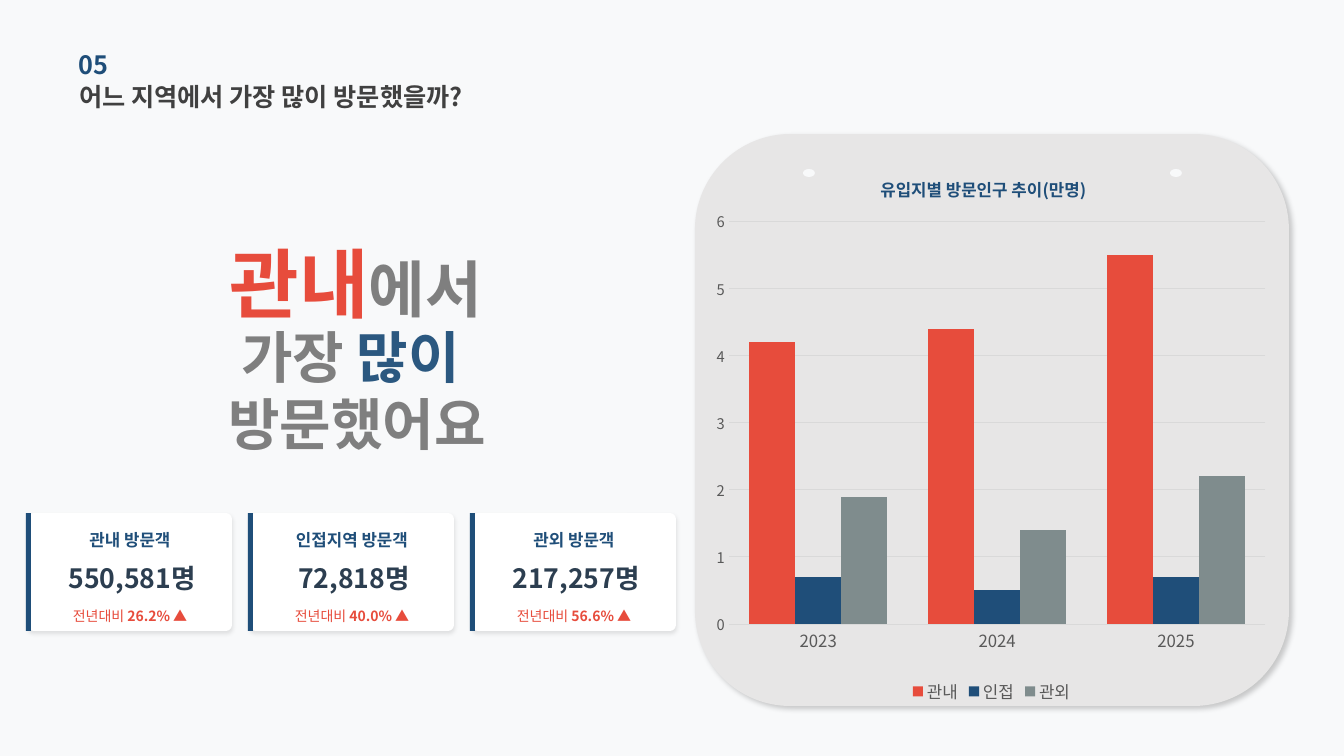
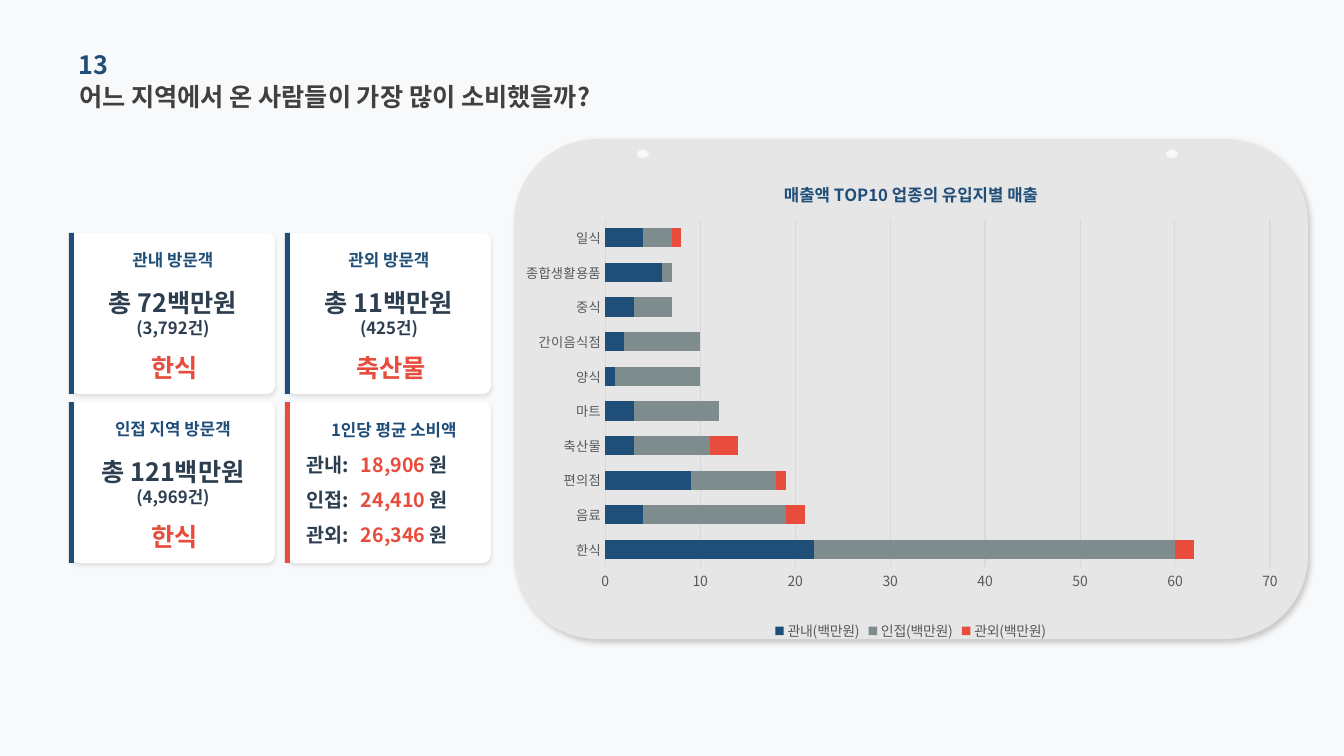
"""Two slides on visitor origin and spending, each with stat cards and a chart panel."""
from lxml import etree
from pptx import Presentation, util as u
from pptx.chart.data import CategoryChartData
from pptx.dml.color import RGBColor
from pptx.enum import chart as ch, shapes, text
from pptx.oxml import parse_xml
from pptx.oxml.ns import nsdecls, qn

PX = 12192000 / 1344
FACE = "Noto Sans CJK KR"
PALE = RGBColor(0xF8, 0xF9, 0xFA)
PANEL = RGBColor(0xE7, 0xE6, 0xE6)
WHITE = RGBColor(0xFF, 0xFF, 0xFF)
NAVY = RGBColor(0x1F, 0x4E, 0x79)
BLUE = RGBColor(0x2B, 0x58, 0x80)
RED = RGBColor(0xE7, 0x4C, 0x3C)
STEEL = RGBColor(0x7F, 0x8C, 0x8D)
SLATE = RGBColor(0x2C, 0x3E, 0x50)
DARK = RGBColor(0x40, 0x40, 0x40)
GREY = RGBColor(0x7F, 0x7F, 0x7F)
LABEL = RGBColor(0x59, 0x59, 0x59)
GRID = RGBColor(0xD9, 0xD9, 0xD9)
RECT = shapes.MSO_SHAPE.RECTANGLE
ROUND = shapes.MSO_SHAPE.ROUNDED_RECTANGLE
OVAL = shapes.MSO_SHAPE.OVAL
MID = text.PP_ALIGN.CENTER
LEFT = text.PP_ALIGN.LEFT


def say(page, box, *lines, size=12, ink=NAVY, bold=True, align=MID):
    """Write lines; each is a string or a list of (text, overrides) runs."""
    frame = page.shapes.add_textbox(*[round(n * PX) for n in box]).text_frame
    frame.word_wrap = True
    frame.vertical_anchor = text.MSO_ANCHOR.MIDDLE
    frame.margin_left = frame.margin_right = frame.margin_top = frame.margin_bottom = 0
    for i, line in enumerate(lines):
        para = frame.add_paragraph() if i else frame.paragraphs[0]
        para.alignment = align
        for words, own in [(line, {})] if isinstance(line, str) else line:
            run = para.add_run()
            run.text = words
            run.font.size = u.Pt(own.get("size", size))
            run.font.bold = own.get("bold", bold)
            run.font.color.rgb = own.get("ink", ink)
            run.font.name = FACE
            etree.SubElement(run._r.get_or_add_rPr(), qn("a:ea"), typeface=FACE)


def block(page, kind, box, fill, shade=None, curve=None):
    """Draw a filled shape; shade is (alpha %, blur pt, distance pt, angle)."""
    shape = page.shapes.add_shape(kind, *[round(n * PX) for n in box])
    shape.fill.solid()
    shape.fill.fore_color.rgb = fill
    shape.line.fill.background()
    shape.shadow.inherit = False
    if curve:
        shape.adjustments[0] = curve
    if shade:
        alpha, blur, dist, angle = shade
        shape._element.spPr.find(qn("a:effectLst")).append(parse_xml(
            f'<a:outerShdw {nsdecls("a")} blurRad="{blur * 12700}" dist="{dist * 12700}" '
            f'dir="{angle * 60000}" algn="ctr" rotWithShape="0"><a:srgbClr val="000000">'
            f'<a:alpha val="{alpha * 1000}"/></a:srgbClr></a:outerShdw>'))


deck = Presentation()
deck.slide_width, deck.slide_height = round(1344 * PX), round(756 * PX)
deck.slide_master.background.fill.solid()
deck.slide_master.background.fill.fore_color.rgb = PALE

specs = [
    dict(no="05", head="어느 지역에서 가장 많이 방문했을까?",
         panel=(695, 134, 594, 572), pins=[(803, 169), (1170, 169)],
         box=(706, 149, 571, 559), kind=ch.XL_CHART_TYPE.COLUMN_CLUSTERED,
         title="유입지별 방문인구 추이(만명)", spot=(0.3, 0.04),
         plot=(0.04, 0.13, 0.94, 0.72), gap=90, lap=0, top=6, step=1,
         sizes=(12, 10.5, 12), cats=["2023", "2024", "2025"],
         rows=[("관내", [4.2, 4.4, 5.5], RED), ("인접", [0.7, 0.5, 0.7], NAVY),
               ("관외", [1.9, 1.4, 2.2], STEEL)]),
    dict(no="13", head="어느 지역에서 온 사람들이 가장 많이 소비했을까?",
         panel=(514, 139, 794, 500), pins=[(637, 150), (1166, 150)],
         box=(526, 157, 767, 488), kind=ch.XL_CHART_TYPE.BAR_STACKED,
         title="매출액 TOP10 업종의 유입지별 매출", spot=(0.33, 0.04),
         plot=(0.1, 0.13, 0.87, 0.71), gap=80, lap=100, top=70, step=10,
         sizes=(9.5, 10, 10),
         cats=["한식", "음료", "편의점", "축산물", "마트", "양식", "간이음식점",
               "중식", "종합생활용품", "일식"],
         rows=[("관내(백만원)", [22, 4, 9, 3, 3, 1, 2, 3, 6, 4], NAVY),
               ("인접(백만원)", [38, 15, 9, 8, 9, 9, 8, 4, 1, 3], STEEL),
               ("관외(백만원)", [2, 2, 1, 3, 0, 0, 0, 0, 0, 1], RED)]),
]

pages = []
for spec in specs:
    page = deck.slides.add_slide(deck.slide_layouts[6])
    pages.append(page)
    block(page, ROUND, spec["panel"], PANEL, shade=(20, 4, 3, 45))
    say(page, (79, 76, 540, 41), spec["head"], size=18, ink=DARK, align=LEFT)
    say(page, (79, 44, 456, 41), spec["no"], size=18, align=LEFT)
    for x, y in spec["pins"]:
        block(page, OVAL, (x, y, 12, 8), PALE)

    data = CategoryChartData()
    data.categories = spec["cats"]
    for name, vals, ink in spec["rows"]:
        data.add_series(name, vals)
    chart = page.shapes.add_chart(
        spec["kind"], *[round(n * PX) for n in spec["box"]], data).chart
    chart.font.name = FACE
    chart.font.size = u.Pt(10)
    plot = chart.plots[0]
    plot.gap_width, plot.overlap = spec["gap"], spec["lap"]
    plot.vary_by_categories = False
    for part, (name, vals, ink) in zip(plot.series, spec["rows"]):
        part.format.fill.solid()
        part.format.fill.fore_color.rgb = ink
        part.invert_if_negative = False

    chart.has_title = True
    title = chart.chart_title
    title.include_in_layout = False
    run = title.text_frame.paragraphs[0].add_run()
    run.text = spec["title"]
    run.font.color.rgb = NAVY
    run.font.bold = True

    chart.has_legend = True
    legend = chart.legend
    legend.position = ch.XL_LEGEND_POSITION.BOTTOM
    legend.include_in_layout = False
    cat, val = chart.category_axis, chart.value_axis
    fonts = [cat.tick_labels.font, val.tick_labels.font, legend.font]
    for font, size in zip(fonts, spec["sizes"]):
        font.size = u.Pt(size)
        font.color.rgb = LABEL
    run.font.size = u.Pt(12)
    for font in fonts + [run.font]:
        font.name = FACE

    for axis in (cat, val):
        axis.major_tick_mark = axis.minor_tick_mark = ch.XL_TICK_MARK.NONE
    val.minimum_scale, val.maximum_scale = 0, spec["top"]
    val.major_unit = spec["step"]
    val.has_major_gridlines = True
    val.format.line.fill.background()
    for line in (cat.format.line, val.major_gridlines.format.line):
        line.color.rgb = GRID
        line.width = u.Pt(0.75)

    area = chart._chartSpace.chart.plotArea
    for node, place, spot, inner in ((title._element, 1, spec["spot"], ""),
                                     (area, 0, spec["plot"], '<c:layoutTarget val="inner"/>')):
        for old in node.findall(qn("c:layout")):
            node.remove(old)
        modes = "".join(f'<c:{k}Mode val="edge"/>' for k in "xy")
        sides = "".join(f'<c:{k} val="{v}"/>' for k, v in zip("xywh", spot))
        node.insert(place, parse_xml(
            f'<c:layout {nsdecls("c")}><c:manualLayout>{inner}{modes}{sides}'
            '</c:manualLayout></c:layout>'))
    for latin in list(chart._chartSpace.iter(qn("a:latin"))):
        latin.addnext(parse_xml(f'<a:ea {nsdecls("a")} typeface="{FACE}"/>'))

visit, spend = pages
say(visit, (140, 258, 432, 48),
    [("관내", dict(size=54, ink=RED)), ("에서", {})], size=44, ink=GREY)
say(visit, (79, 347, 556, 85),
    [("가장", {}), (" 많이 ", dict(ink=BLUE))], "방문했어요", size=40, ink=GREY)

stats = [("관내 방문객", "550,581명", "26.2% ▲"),
         ("인접지역 방문객", "72,818명", "40.0% ▲"),
         ("관외 방문객", "217,257명", "56.6% ▲")]
for i, (name, count, rise) in enumerate(stats):
    x = 28 + 222 * i
    block(visit, ROUND, (x, 513, 204, 118), WHITE, shade=(10, 3, 2, 90), curve=0.05)
    block(visit, RECT, (x - 2, 513, 5, 118), NAVY)
    say(visit, (x, 529, 204, 22), name)
    say(visit, (x + 2, 561, 204, 34), count, size=19, ink=SLATE)
    say(visit, (x, 606, 204, 20),
        [("전년대비 ", dict(bold=False)), (rise, {})], size=10, ink=RED)

cards = [("관내 방문객", "총 72백만원", "(3,792건)", "한식"),
         ("관외 방문객", "총 11백만원", "(425건)", "축산물"),
         ("인접 지역 방문객", "총 121백만원", "(4,969건)", "한식"),
         None]
for i, card in enumerate(cards):
    x, y = 71 + 216 * (i % 2), 233 + 169 * (i // 2)
    block(spend, ROUND, (x, y, 204, 161), WHITE, shade=(10, 3, 2, 90), curve=0.05)
    block(spend, RECT, (x - 2, y, 5, 161), NAVY if card else RED)
    if card:
        name, total, count, top = card
        say(spend, (x, y + 11, 204, 31), name)
        say(spend, (x, y + 56, 204, 47), total, [(count, dict(size=12))],
            size=18, ink=SLATE)
        say(spend, (x + 2, y + 111, 204, 47), top, size=18, ink=RED)

say(spend, (331, 417, 141, 25), "1인당 평균 소비액", align=LEFT)
means = [("관내:", "18,906 "), ("인접:", "24,410 "), ("관외:", "26,346 ")]
for i, (name, cost) in enumerate(means):
    y = 450 + 35 * i
    say(spend, (306, y, 54, 30), name, size=14, ink=SLATE, align=LEFT)
    say(spend, (361, y, 120, 30), [(cost, dict(ink=RED)), ("원", {})],
        size=14, ink=SLATE, align=LEFT)

deck.save("out.pptx")
